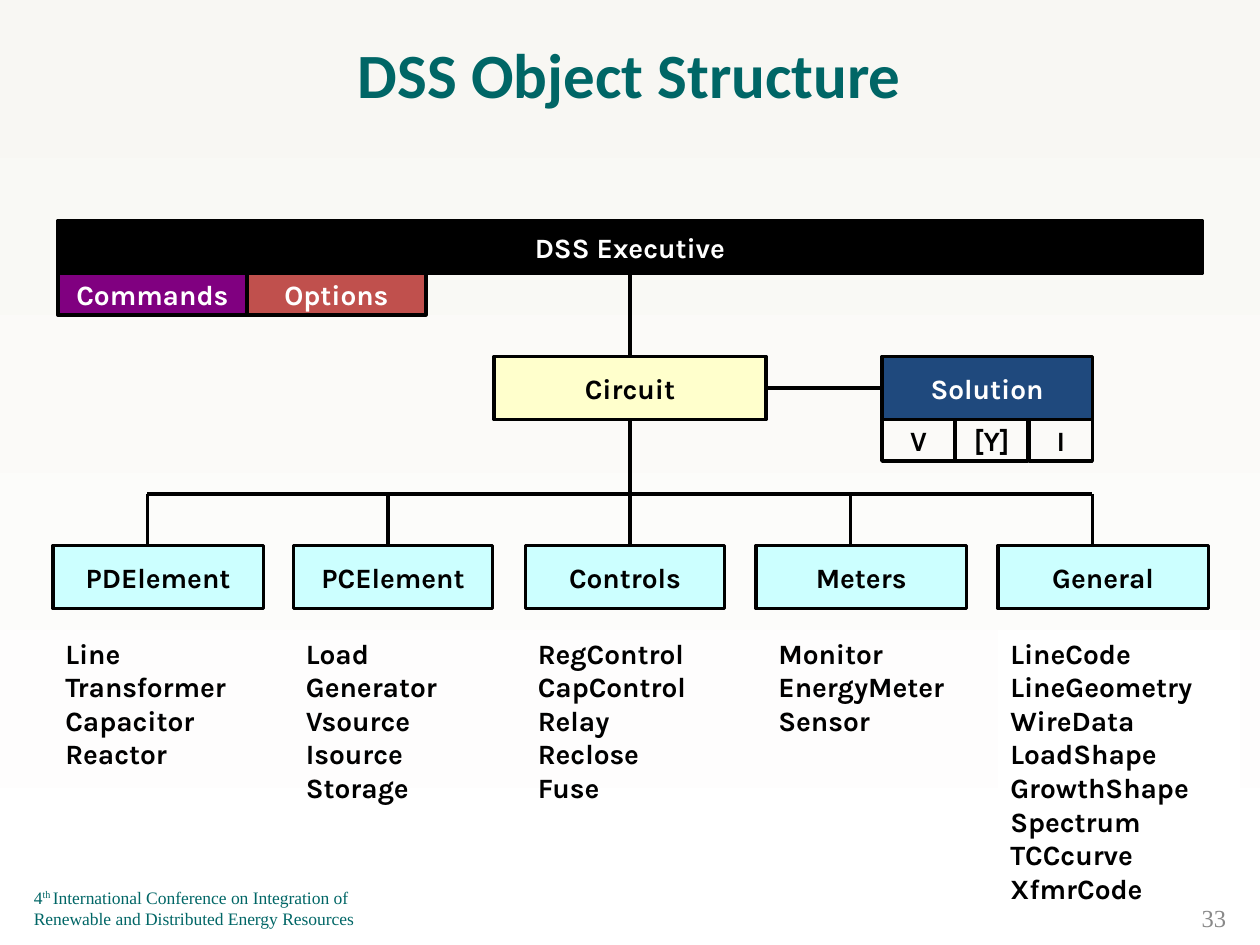
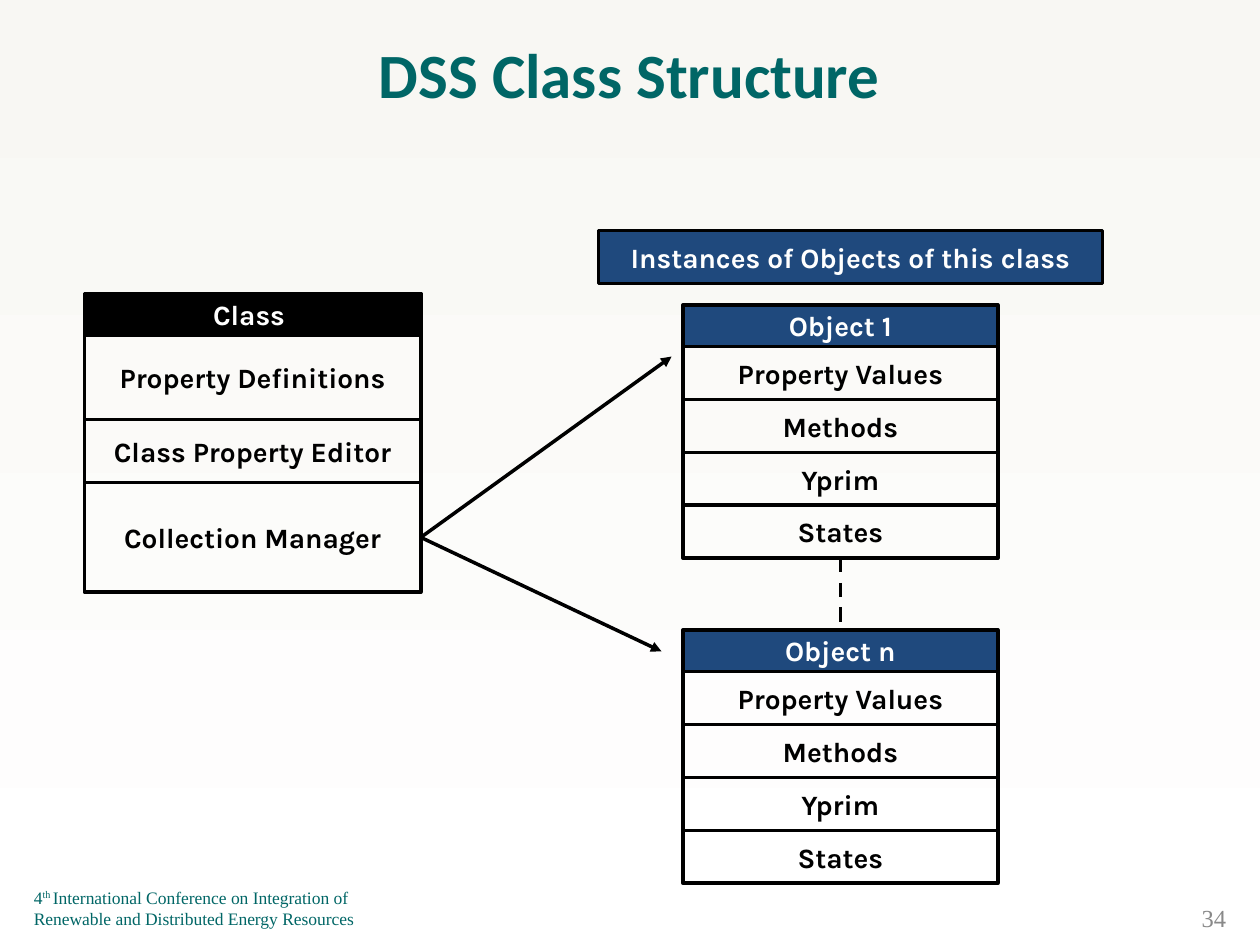
import copy

import pptx
import pptx.dml.color
import pptx.enum.dml
import pptx.enum.shapes
import pptx.enum.text
import pptx.oxml
import pptx.oxml.ns
import pptx.util

Inches = pptx.util.Inches
Pt = pptx.util.Pt
RGBColor = pptx.dml.color.RGBColor
Align = pptx.enum.text.PP_ALIGN
Anchor = pptx.enum.text.MSO_ANCHOR
Fit = pptx.enum.text.MSO_AUTO_SIZE

# Colours
BLACK = RGBColor(0x00, 0x00, 0x00)
WHITE = RGBColor(0xFF, 0xFF, 0xFF)
CREAM = RGBColor(0xF8, 0xF7, 0xF3)
TEAL = RGBColor(0x00, 0x66, 0x66)
GRAY = RGBColor(0x89, 0x89, 0x89)
NAVY = RGBColor(0x1F, 0x49, 0x7D)
YELLOW = RGBColor(0xFF, 0xFF, 0xCC)
CYAN = RGBColor(0xCC, 0xFF, 0xFF)
PURPLE = RGBColor(0x80, 0x00, 0x80)
RED = RGBColor(0xC0, 0x50, 0x4D)

# Text formats
TITLE = {"name": "Calibri", "size": Pt(36), "bold": True}
LABEL = {"name": "Karla", "size": Pt(16), "bold": True}
FOOT = {"name": "Times New Roman", "size": Pt(10)}
PAGE = {"name": "Times New Roman", "size": Pt(14)}

# Sides of a rectangle
TOP, LEFT, BOTTOM, RIGHT = range(4)


def style(run, form, color):
    for key, value in form.items():
        setattr(run.font, key, value)
    run.font.color.rgb = color


def write(shape, text, form, color, align=Align.LEFT,
          anchor=Anchor.MIDDLE, wrap=True):
    """Fill the shape with one paragraph; newlines become line breaks."""
    frame = shape.text_frame
    frame.word_wrap = wrap
    frame.vertical_anchor = anchor
    para = frame.paragraphs[0]
    para.alignment = align
    para.text = text
    for run in para.runs:
        style(run, form, color)
    look = para.runs[0].font._element
    for gap in para._p.xpath("a:br"):
        gap.append(copy.deepcopy(look))


def label(slide, at, text, form, color, **opts):
    shape = slide.shapes.add_textbox(*map(Inches, at))
    write(shape, text, form, color, **opts)
    return shape


def rect(shapes, at, fill=None):
    kind = pptx.enum.shapes.MSO_SHAPE.RECTANGLE
    shape = shapes.add_shape(kind, *map(Inches, at))
    shape.shadow.inherit = False
    if fill is None:
        shape.fill.background()
    else:
        shape.fill.solid()
        shape.fill.fore_color.rgb = fill
    return shape


def box(shapes, at, text, fill=None, color=BLACK):
    shape = rect(shapes, at, fill)
    shape.line.color.rgb = BLACK
    shape.line.width = Pt(2)
    write(shape, text, LABEL, color, align=Align.CENTER, wrap=False)
    return shape


def stack(shapes, left, top, width, head, fill, rows):
    """Draw a header with rows below it; return the boxes in order."""
    made = [box(shapes, (left, top, width, 0.33), head, fill, WHITE)]
    top += 0.33
    for text, height in rows:
        made.append(box(shapes, (left, top, width, height), text))
        top += height
    return made


def names(slide, left, width, lines, fill=None):
    at = (left, 5, width, 0.1 + 0.27 * len(lines))
    shape = rect(slide.shapes, at, fill)
    shape.line.fill.background()
    write(shape, "\n".join(lines), LABEL, BLACK, anchor=Anchor.TOP)
    shape.text_frame.auto_size = Fit.SHAPE_TO_FIT_TEXT


def link(slide, start, end, dash=False, arrow=False):
    """Join two ends, each an (x, y) point or a (shape, side) pair."""
    kind = pptx.enum.shapes.MSO_CONNECTOR.STRAIGHT
    spots = [(0, 0) if hasattr(a, "shape_id") else (Inches(a), Inches(b))
             for a, b in (start, end)]
    line = slide.shapes.add_connector(kind, *spots[0], *spots[1])
    for (a, b), join in ((start, line.begin_connect), (end, line.end_connect)):
        if hasattr(a, "shape_id"):
            join(a, b)
    line.line.color.rgb = BLACK
    line.line.width = Pt(2)
    if dash:
        line.line.dash_style = pptx.enum.dml.MSO_LINE.DASH
    if arrow:
        tail = pptx.oxml.parse_xml(
            "<a:tailEnd %s type='triangle'/>" % pptx.oxml.ns.nsdecls("a"))
        line.line._get_or_add_ln().append(tail)
    none = pptx.oxml.parse_xml(
        "<a:effectLst %s/>" % pptx.oxml.ns.nsdecls("a"))
    line._element.spPr.append(none)


def footer(slide):
    shape = label(slide, (0.17, 7, 3.17, 0.42), "4", FOOT, TEAL,
                  anchor=Anchor.BOTTOM)
    first = shape.text_frame.paragraphs[0]
    second = shape.text_frame.add_paragraph()
    for para, text, base in (
            (first, "th ", "30000"),
            (first, "International Conference on Integration of", "0"),
            (second, "Renewable and Distributed Energy Resources", "0")):
        run = para.add_run()
        run.text = text
        style(run, FOOT, TEAL)
        run.font._element.set("baseline", base)


def number(slide, count):
    """Add the page number; call last so that nothing covers it."""
    label(slide, (8.83, 7.15, 1, 0.27), str(count), PAGE, GRAY,
          align=Align.RIGHT)


def start(deck, title):
    """Add a slide with the shared background, footer and title."""
    slide = deck.slides.add_slide(deck.slide_layouts[6])
    fill = slide.background.fill
    fill.gradient()
    fill.gradient_angle = 270
    for stop, place, color in zip(fill.gradient_stops, (0, 1), (CREAM, WHITE)):
        stop.position = place
        stop.color.rgb = color
    footer(slide)
    label(slide, (0.33, 0.17, 9.33, 0.83), title, TITLE, TEAL,
          align=Align.CENTER)
    return slide


def objects(deck):
    slide = start(deck, "DSS Object Structure")
    shapes = slide.shapes

    # Executive and circuit
    chief = box(shapes, (0.46, 1.75, 9.08, 0.42), "DSS Executive", BLACK, WHITE)
    box(shapes, (0.46, 2.17, 1.5, 0.33), "Commands", PURPLE, WHITE)
    box(shapes, (1.96, 2.17, 1.42, 0.33), "Options", RED, WHITE)
    circuit = box(shapes, (3.92, 2.83, 2.16, 0.5), "Circuit", YELLOW)

    # Solution and its parts
    answer = box(shapes, (7, 2.83, 1.67, 0.5), "Solution", NAVY, WHITE)
    for left, width, text in ((7, 0.58, "V"), (7.58, 0.58, "[Y]"),
                              (8.17, 0.5, "I")):
        box(shapes, (left, 3.33, width, 0.33), text)

    # Element families: left, width, list left, list width
    families = (
        ("PDElement", 0.42, 1.67, 0.42, 1.67, None,
         "Line Transformer Capacitor Reactor"),
        ("PCElement", 2.33, 1.58, 2.33, 1.67, None,
         "Load Generator Vsource Isource Storage"),
        ("Controls", 4.17, 1.58, 4.17, 1.67, None,
         "RegControl CapControl Relay Reclose Fuse"),
        ("Meters", 6, 1.67, 6.08, 1.67, None,
         "Monitor EnergyMeter Sensor"),
        ("General", 7.92, 1.67, 7.92, 1.92, WHITE,
         "LineCode LineGeometry WireData LoadShape GrowthShape "
         "Spectrum TCCcurve XfmrCode"),
    )
    for head, left, width, inset, room, fill, items in families:
        box(shapes, (left, 4.33, width, 0.5), head, CYAN)
        names(slide, inset, room, items.split(), fill)

    # Tree lines
    link(slide, (chief, BOTTOM), (circuit, TOP))
    link(slide, (circuit, RIGHT), (answer, LEFT))
    link(slide, (circuit, BOTTOM), (5, 4.33))
    link(slide, (1.17, 3.92), (8.67, 3.92))
    for x in (1.17, 3.08, 6.75, 8.67):
        link(slide, (x, 3.92), (x, 4.33))
    number(slide, 33)


def classes(deck):
    slide = start(deck, "DSS Class Structure")
    shapes = slide.shapes
    box(shapes, (4.75, 1.83, 4, 0.42), "Instances of Objects of this class",
        NAVY, WHITE)

    # Class
    parts = (("Property Definitions", 0.67), ("Class Property Editor", 0.5),
             ("Collection Manager", 0.87))
    keeper = stack(shapes, 0.67, 2.33, 2.67, "Class ", BLACK, parts)[-1]

    # Objects
    rows = [(text, 0.42) for text in
            ("Property Values", "Methods", "Yprim", "States")]
    first, last = [
        stack(shapes.add_group_shape().shapes, 5.42, top, 2.5, head, NAVY, rows)
        for head, top in (("Object 1", 2.42), ("Object n", 5))]

    # Links
    link(slide, (first[-1], BOTTOM), (last[0], TOP), dash=True)
    for end in ((5.33, 2.83), (5.25, 5.17)):
        link(slide, (keeper, RIGHT), end, arrow=True)
    number(slide, 34)


def main():
    deck = pptx.Presentation()
    deck.slide_width = Inches(10)
    deck.slide_height = Inches(7.5)
    objects(deck)
    classes(deck)
    deck.save("out.pptx")


if __name__ == "__main__":
    main()
